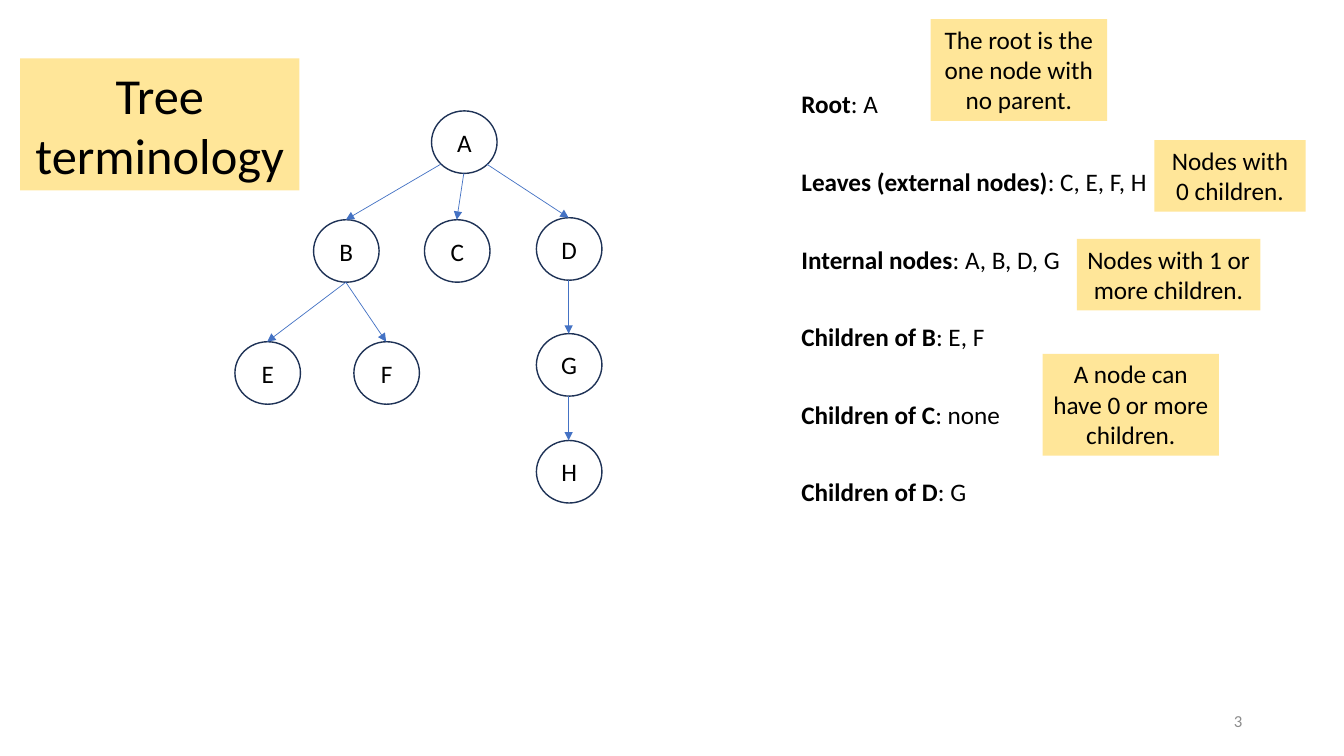
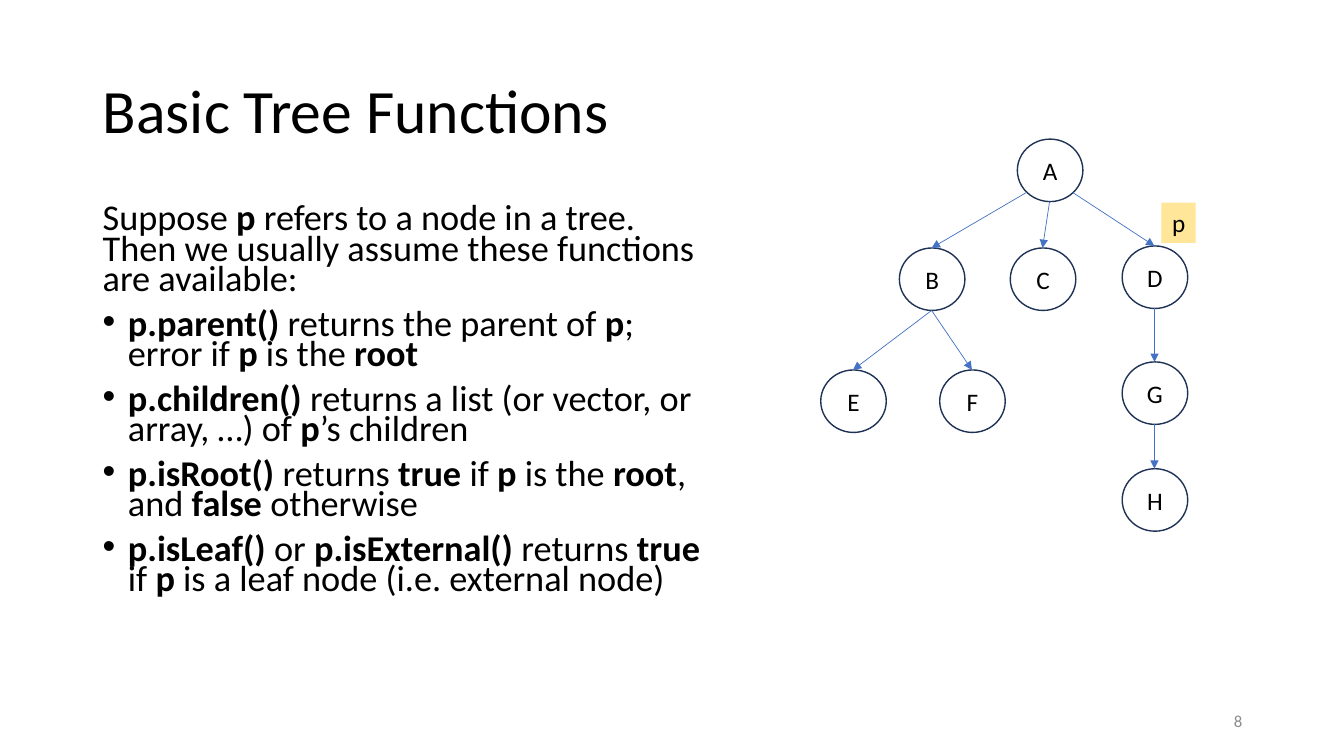
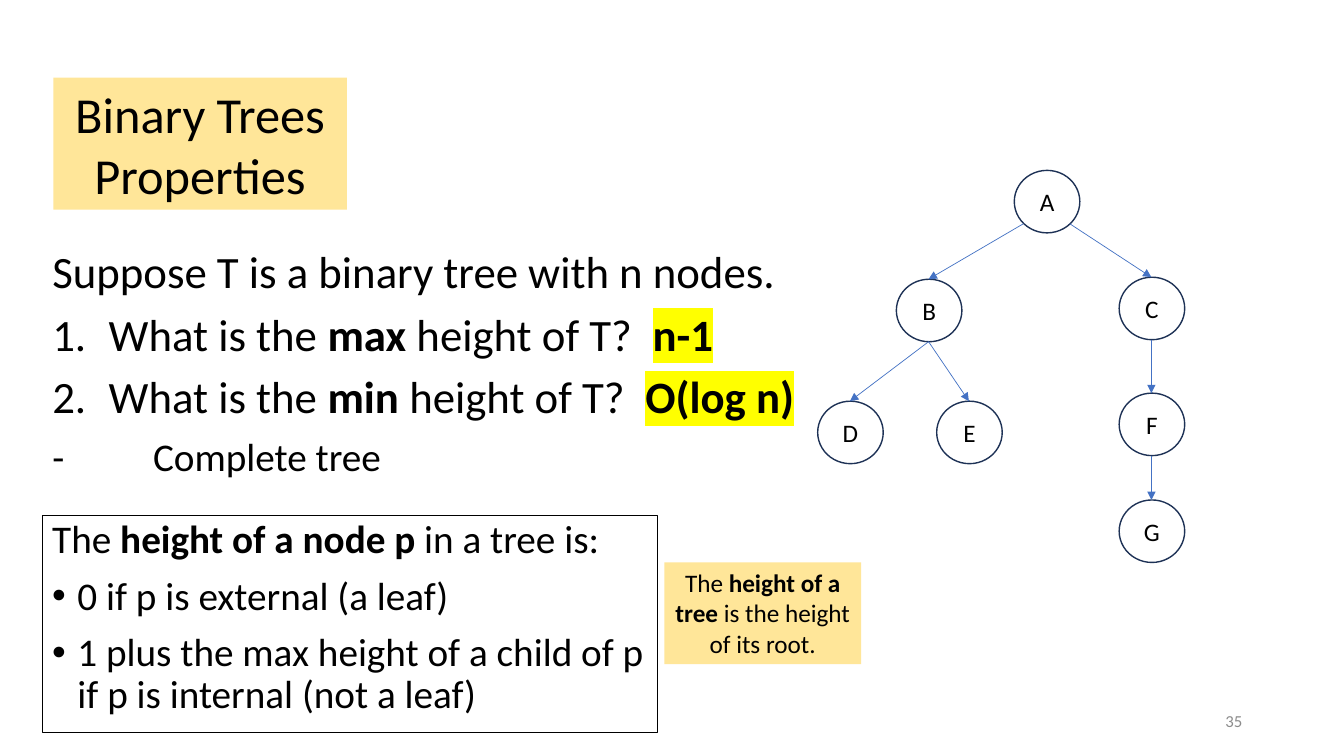
from lxml import etree
from pptx import Presentation
from pptx.dml.color import RGBColor
from pptx.enum.shapes import MSO_CONNECTOR, MSO_SHAPE
from pptx.enum.text import MSO_ANCHOR, MSO_AUTO_SIZE, PP_ALIGN
from pptx.oxml.ns import qn
from pptx.util import Pt

PX = 9144  # 100 px to the inch
FONT = "Calibri"
LEFT, CENTER, RIGHT = PP_ALIGN.LEFT, PP_ALIGN.CENTER, PP_ALIGN.RIGHT
TOP, MIDDLE = MSO_ANCHOR.TOP, MSO_ANCHOR.MIDDLE
STRAIGHT, OVAL = MSO_CONNECTOR.STRAIGHT, MSO_SHAPE.OVAL
COLORS = {name: RGBColor.from_string(value) for name, value in {
    "text": "000000", "note": "FFE699", "node": "1E3256",
    "arrow": "4472C4", "number": "8C8C8C"}.items()}
HIGHLIGHT = "FFFF00"


def write(shape, lines, size, align=LEFT, anchor=TOP, spacing=1.0, before=0,
          color="text", wrap=True):
    """Fill a shape; *stars* mark bold, "• " a bullet and "# " a number."""
    frame = shape.text_frame
    frame.word_wrap = wrap
    frame.auto_size = MSO_AUTO_SIZE.NONE
    frame.vertical_anchor = anchor
    for index, line in enumerate(lines):
        para = frame.add_paragraph() if index else frame.paragraphs[0]
        para.alignment = align
        para.line_spacing = spacing
        para.space_before = Pt(before if index else 0)
        props = para._p.get_or_add_pPr()
        if line[:2] in ("• ", "# "):
            indent = 25 * PX if line[0] == "•" else 56 * PX
            props.set("marL", str(indent))
            props.set("indent", str(-indent))
            if line[0] == "•":
                etree.SubElement(props, qn("a:buFont"), typeface="Arial")
                etree.SubElement(props, qn("a:buChar"), char="•")
            else:
                etree.SubElement(props, qn("a:buAutoNum"), type="arabicPeriod")
            line = line[2:]
        if "\t" in line:
            tabs = etree.SubElement(props, qn("a:tabLst"))
            etree.SubElement(tabs, qn("a:tab"), pos=str(100 * PX), algn="l")
        para.font.name = FONT
        para.font.size = Pt(size)
        para.font.color.rgb = COLORS[color]
        for piece_index, piece in enumerate(line.split("*")):
            for row_index, row in enumerate(piece.split("\n")):
                if row_index:
                    para.add_line_break()
                if row:
                    span = para.add_run()
                    span.text = row
                    if piece_index % 2:
                        span.font.bold = True


def add_box(page, place, lines, size, fill=None, **style):
    box = page.shapes.add_textbox(*[length * PX for length in place])
    if fill:
        box.fill.solid()
        box.fill.fore_color.rgb = COLORS[fill]
    write(box, lines, size, **style)
    return box


deck = Presentation()
deck.slide_width, deck.slide_height = 1333 * PX, 750 * PX

# Pages with their titles
pages = []
for text, place, boxed in [
        ("Tree terminology", (20, 58, 277, 131), True),
        ("Basic Tree Functions", (92, 40, 1150, 145), False),
        ("Binary Trees Properties", (53, 77, 291, 131), True)]:
    page = deck.slides.add_slide(deck.slide_layouts[5])
    title = page.shapes.title
    title.left, title.top, title.width, title.height = [n * PX for n in place]
    if boxed:
        title.fill.solid()
        title.fill.fore_color.rgb = COLORS["note"]
        write(title, [text], 36, align=CENTER, anchor=MIDDLE)
    else:
        write(title, [text], 44, anchor=MIDDLE, spacing=0.9)
    pages.append(page)
terms, functions, properties = pages

# Terms of the first tree
for row, (width, text) in enumerate([
        (97, "*Root*: A"),
        (366, "*Leaves (external nodes)*: C, E, F, H"),
        (276, "*Internal nodes*: A, B, D, G"),
        (203, "*Children of B*: E, F"),
        (219, "*Children of C*: none"),
        (185, "*Children of D*: G")]):
    add_box(terms, (785, 83 + 77 * row, width, 40), [text], 18, wrap=False)

# Functions
add_box(functions, (92, 200, 615, 476), [
    "Suppose *p* refers to a node in a tree. Then we usually assume these "
    "functions are available:",
    "• *p.parent()* returns the parent of *p*; error if *p* is the *root*",
    "• *p.children() *returns a list (or vector, or array, …) of *p*’s children",
    "• *p.isRoot() *returns *true* if *p* is the *root*, and *false* otherwise",
    "• *p.isLeaf()* or *p.isExternal()* returns *true* if *p* is a leaf node "
    "(i.e. external node)"], 25.9, spacing=0.7, before=10)

# Questions on height, with highlighted answers
questions = add_box(properties, (42, 243, 772, 379), [
    "Suppose T is a binary tree with n nodes.",
    "# What is the *max* height of T?  *n-1*",
    "# What is the *min* height of T?  *O(log n)*",
    "-\tComplete tree"], 32, spacing=0.9, before=10).text_frame.paragraphs
questions[3].font.size = Pt(28)
for question in questions[1:3]:
    answer = question.runs[-1]._r.get_or_add_rPr()
    marker = etree.SubElement(answer, qn("a:highlight"))
    etree.SubElement(marker, qn("a:srgbClr"), val=HIGHLIGHT)

# Definition of height
definition = add_box(properties, (42, 511, 610, 216), [
    "The *height of a node p *in a tree is:",
    "• 0 if p is external (a leaf)",
    "• 1 plus the max height of a child of p\nif p is internal (not a leaf)"],
    28, spacing=0.9, before=10)
definition.line.color.rgb = COLORS["text"]
definition.line.width = Pt(0.75)

# Yellow notes
for page, place, text in [
        (terms, (1034, 351, 175, 101), "A node can have 0 or more\nchildren."),
        (terms, (923, 19, 175, 101), "The root is the one node with no parent."),
        (terms, (1145, 139, 150, 71), "Nodes with 0 children."),
        (terms, (1068, 237, 182, 71), "Nodes with 1 or more children."),
        (functions, (1152, 201, 34, 40), "p"),
        (properties, (659, 558, 195, 101),
         "The *height of a tree *is the height of its root.")]:
    add_box(page, place, [text], 18, fill="note", align=CENTER)

# Trees: one set of spots, shifted on each page; edges leave at a point
# given from the centre of the parent and enter at the top of the child
NODE_W, NODE_H = 65, 62
SPOTS = {"A": (428, 110), "B": (311, 218), "C": (421, 218), "D": (532, 216),
         "E": (233, 339), "F": (351, 339), "G": (532, 331), "H": (532, 437)}
BOTTOM = (0, 31)
EDGES = [("A", "B", (-23, 22)), ("A", "C", BOTTOM), ("A", "D", (23, 22)),
         ("B", "E", BOTTOM), ("B", "F", BOTTOM),
         ("D", "G", BOTTOM), ("G", "H", BOTTOM)]
FULL = {spot: spot for spot in SPOTS}
BINARY = dict(zip("ABDEFGH", "ABCDEFG"))

for page, number, shift_x, shift_y, labels in [
        (terms, "3", 0, 0, FULL),
        (functions, "8", 581, 28, FULL),
        (properties, "35", 578, 59, BINARY)]:
    for spot, label in labels.items():
        x, y = SPOTS[spot]
        node = page.shapes.add_shape(OVAL, (x + shift_x) * PX, (y + shift_y) * PX,
                                     NODE_W * PX, NODE_H * PX)
        node.shadow.inherit = False
        node.fill.background()
        node.line.color.rgb = COLORS["node"]
        node.line.width = Pt(1)
        write(node, [label], 18, align=CENTER, anchor=MIDDLE, wrap=False)
    for parent, child, (exit_x, exit_y) in EDGES:
        if child not in labels:
            continue
        (x1, y1), (x2, y2) = SPOTS[parent], SPOTS[child]
        middle = shift_x + NODE_W // 2
        arrow = page.shapes.add_connector(
            STRAIGHT, (x1 + middle + exit_x) * PX,
            (y1 + shift_y + NODE_H // 2 + exit_y) * PX,
            (x2 + middle) * PX, (y2 + shift_y) * PX)
        arrow.line.color.rgb = COLORS["arrow"]
        arrow.line.width = Pt(0.5)
        etree.SubElement(arrow.line._get_or_add_ln(), qn("a:tailEnd"), type="triangle")
        etree.SubElement(arrow._element.spPr, qn("a:effectLst"))
    add_box(page, (942, 695, 300, 40), [number], 12, align=RIGHT, anchor=MIDDLE,
            color="number")

deck.save("out.pptx")
